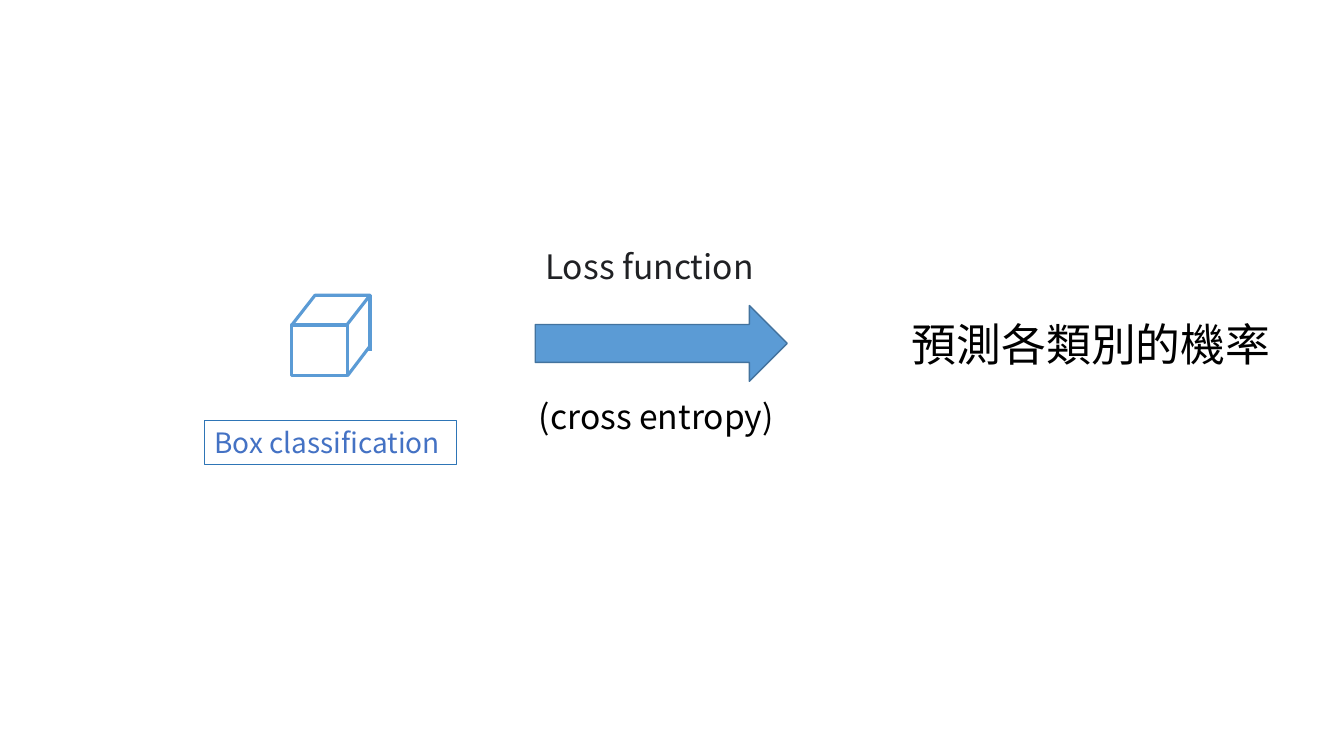
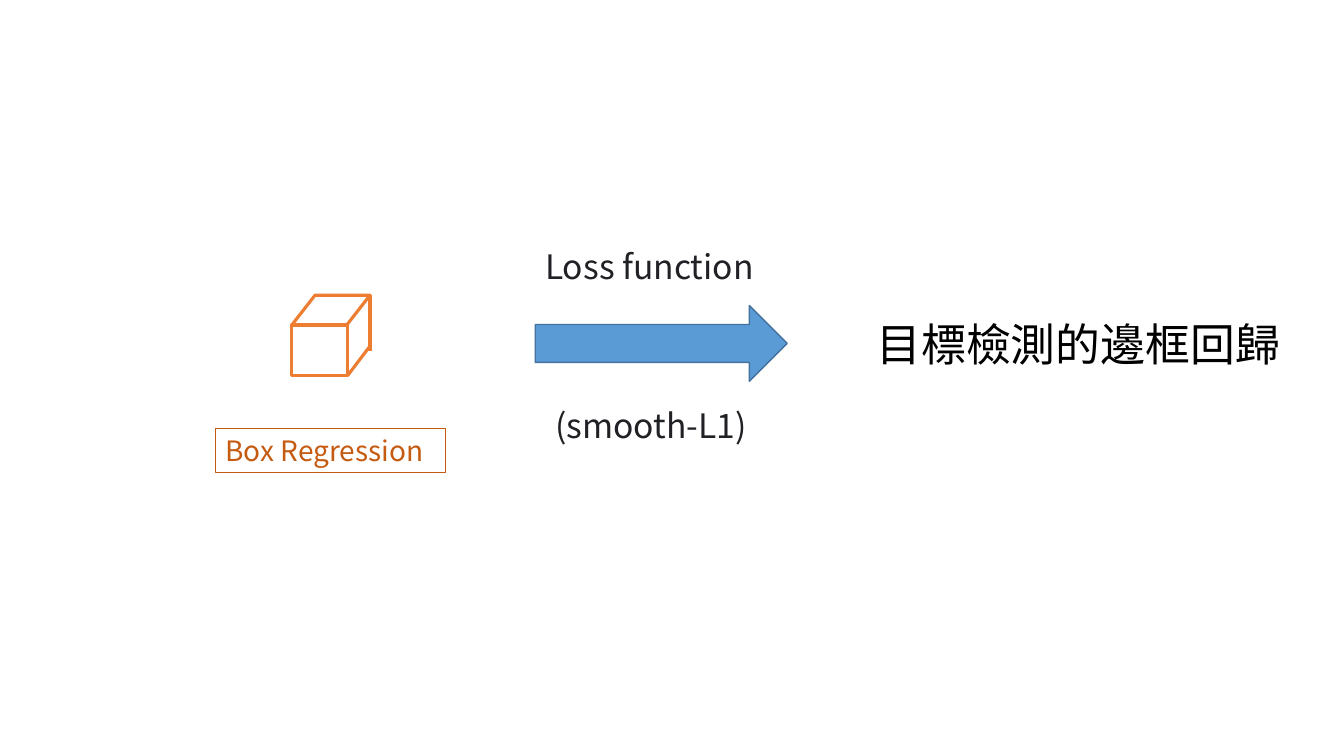
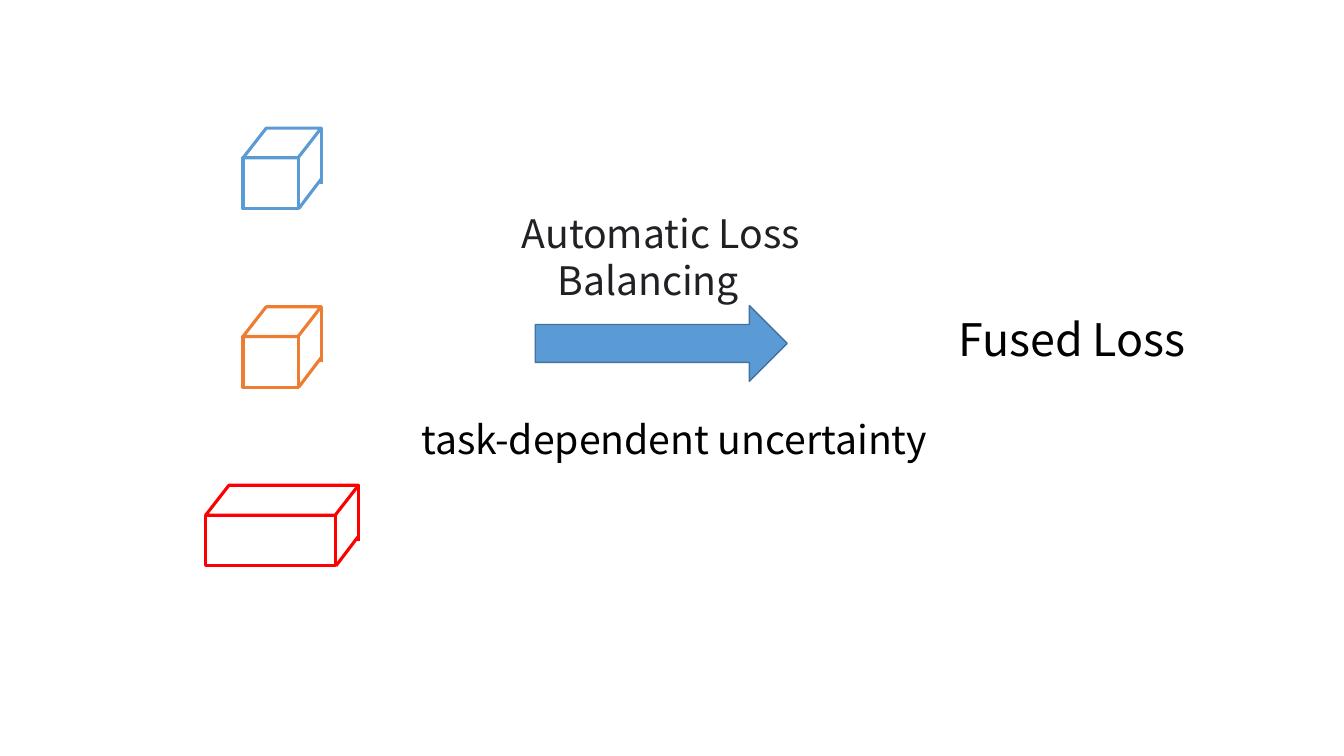
import dataclasses

import lxml.etree
import pptx
import pptx.dml.color
import pptx.enum.shapes
import pptx.enum.text
import pptx.oxml.ns
import pptx.util

Cm = pptx.util.Cm
Pt = pptx.util.Pt
Shape = pptx.enum.shapes.MSO_SHAPE
Align = pptx.enum.text.PP_ALIGN


@dataclasses.dataclass(frozen=True)
class Theme:
    font: str = "Noto Sans CJK SC"
    black: str = "000000"
    ink: str = "202124"
    blue: str = "5B9BD5"
    arrow_edge: str = "43739E"
    orange: str = "ED7D31"
    red: str = "FF0000"
    class_text: str = "4472C4"
    class_edge: str = "2E75B6"
    regression: str = "C55A11"
    label: int = 20
    caption: int = 24
    method: int = 28
    result: int = 32
    cube_line: float = 2.25


THEME = Theme()


def rgb(value):
    return pptx.dml.color.RGBColor.from_string(value)


class Deck:
    DEPTH, RISE, HEIGHT = 0.57, 0.75, 1.28
    CUBE, WIDE = 1.4, 3.28

    def __init__(self, theme):
        self.theme = theme
        self.presentation = pptx.Presentation()
        self.presentation.slide_width = Cm(33.87)
        self.presentation.slide_height = Cm(19.05)
        self.slide = None

    def new_slide(self):
        blank = self.presentation.slide_layouts[6]
        self.slide = self.presentation.slides.add_slide(blank)

    def outline(self, item, color, width):
        item.line.color.rgb = rgb(color)
        item.line.width = Pt(width)

    def shape(self, kind, left, top, width, height, edge, weight, fill=None):
        item = self.slide.shapes.add_shape(
            kind, Cm(left), Cm(top), Cm(width), Cm(height))
        item.shadow.inherit = False
        if fill:
            item.fill.solid()
            item.fill.fore_color.rgb = rgb(fill)
        else:
            item.fill.background()
        self.outline(item, edge, weight)
        return item

    def edge(self, start, end, color):
        item = self.slide.shapes.add_connector(
            pptx.enum.shapes.MSO_CONNECTOR.STRAIGHT,
            *map(Cm, start), *map(Cm, end))
        self.outline(item, color, self.theme.cube_line)
        lxml.etree.SubElement(
            item._element.spPr, pptx.oxml.ns.qn("a:effectLst"))

    def text(self, lines, left, top, width, height, size, color,
             align=Align.LEFT, border=None, indents=()):
        box = self.slide.shapes.add_textbox(
            Cm(left), Cm(top), Cm(width), Cm(height))
        if border:
            self.outline(box, border, 0.75)
        frame = box.text_frame
        frame.word_wrap = True
        for number, line in enumerate(lines):
            paragraph = frame.add_paragraph() if number else frame.paragraphs[0]
            paragraph.alignment = align
            if number < len(indents):
                paragraph._p.get_or_add_pPr().set("marL", str(Cm(indents[number])))
            run = paragraph.add_run()
            run.text = line
            run.font.name = self.theme.font
            run.font.size = Pt(size)
            run.font.color.rgb = rgb(color)
            east_asian = lxml.etree.SubElement(
                run.font._element, pptx.oxml.ns.qn("a:ea"))
            east_asian.set("typeface", self.theme.font)

    def arrow(self):
        self.shape(Shape.RIGHT_ARROW, 13.49, 7.7, 6.35, 1.91,
                   self.theme.arrow_edge, 1, self.theme.blue)

    def cube(self, center, top, front, color):
        weight = self.theme.cube_line
        left = center - (front + self.DEPTH) / 2
        corner = left + front
        back = corner + self.DEPTH
        lid = self.shape(Shape.PARALLELOGRAM, left, top,
                         front + self.DEPTH, self.RISE, color, weight)
        lid.adjustments[0] = 0.78
        self.shape(Shape.RECTANGLE, left, top + self.RISE,
                   front, self.HEIGHT, color, weight)
        self.edge((back, top), (back, top + 1.4), color)
        self.edge((corner, top + self.RISE + self.HEIGHT),
                  (back, top + 1.28), color)

    def result(self, words, left, top, width):
        self.text([words], left, top, width, 1.62,
                  self.theme.result, self.theme.black)

    def box_label(self, words, top, width, color, border):
        self.text([words], 8.33 - width / 2, top, width, 1.11,
                  self.theme.label, color, border=border)

    def loss_step(self, color):
        self.new_slide()
        self.arrow()
        self.text(["Loss function"], 13.49, 6.07, 6.35, 1.27,
                  self.theme.caption, self.theme.ink)
        self.cube(8.34, 7.44, self.CUBE, color)


def main():
    deck = Deck(THEME)

    deck.loss_step(THEME.blue)
    deck.text(["(cross entropy)"], 13.33, 9.86, 6.7, 1.27,
              THEME.caption, THEME.black)
    deck.box_label("Box classification", 10.59, 6.35,
                   THEME.class_text, THEME.class_edge)
    deck.result("預測各類別的機率", 22.73, 7.85, 9.83)

    deck.loss_step(THEME.orange)
    deck.text(["(smooth-L1)"], 13.74, 10.08, 5.82, 1.27,
              THEME.caption, THEME.ink)
    deck.box_label("Box Regression", 10.8, 5.79,
                   THEME.regression, THEME.regression)
    deck.result("目標檢測的邊框回歸", 21.84, 7.85, 11.25)

    deck.new_slide()
    deck.text(["Automatic Loss", "Balancing"], 12.9, 5.16, 8.2, 2.64,
              THEME.method, THEME.ink, indents=(0, 0.9))
    deck.arrow()
    tasks = ((deck.CUBE, THEME.blue), (deck.CUBE, THEME.orange),
             (deck.WIDE, THEME.red))
    for row, (front, color) in enumerate(tasks):
        deck.cube(7.11, 3.23 + 4.5 * row, front, color)
    deck.text(["task-dependent uncertainty"], 9.88, 10.34, 14.22, 1.45,
              THEME.method, THEME.black, align=Align.CENTER)
    deck.result("Fused Loss", 23.9, 7.72, 6.32)

    deck.presentation.save("out.pptx")


if __name__ == "__main__":
    main()
